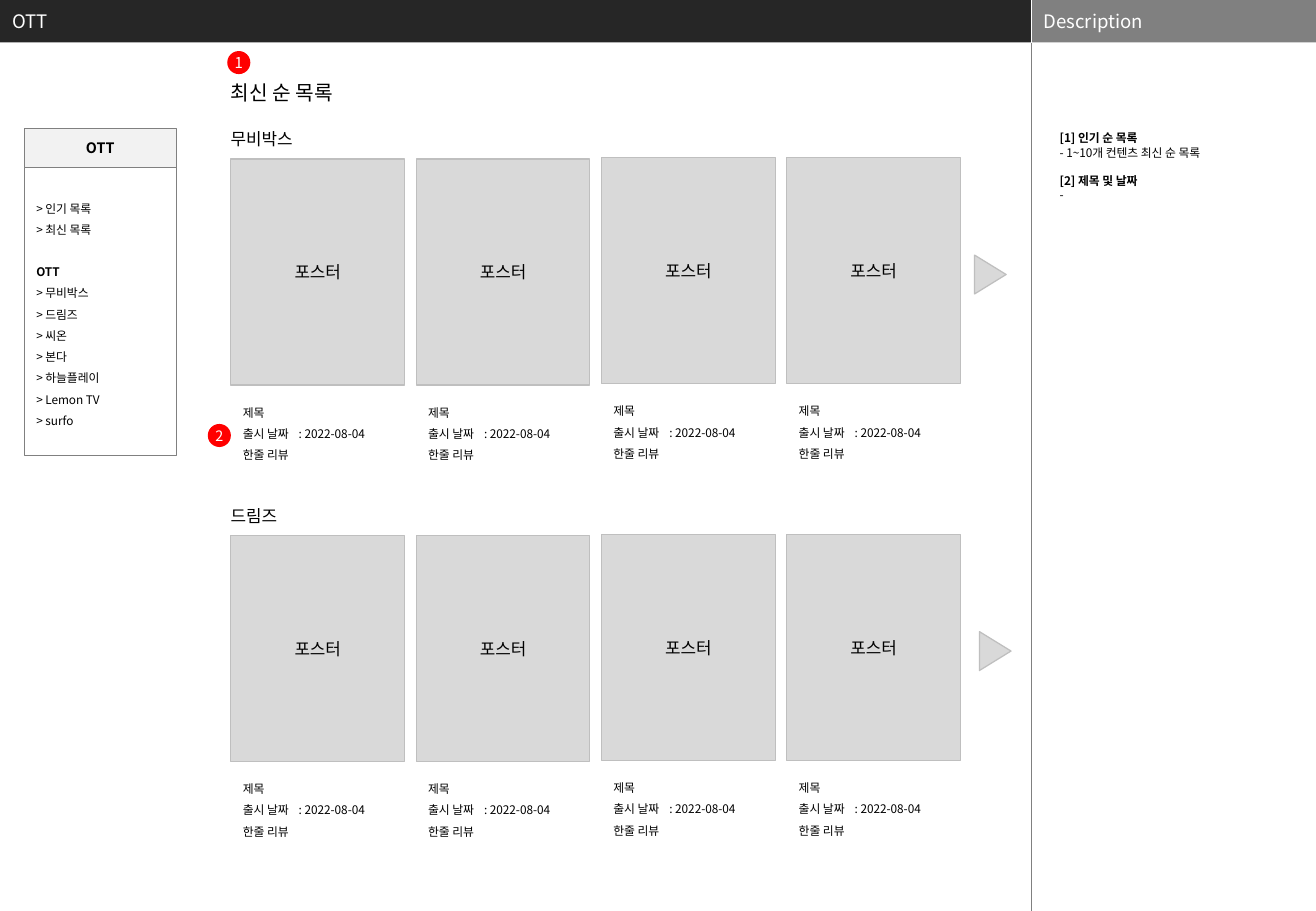
import pptx
import pptx.dml.color
import pptx.enum.shapes
import pptx.enum.text
import pptx.oxml.ns
import pptx.util
from lxml import etree

Inches = pptx.util.Inches
Pt = pptx.util.Pt
SHAPES = pptx.enum.shapes.MSO_SHAPE
ALIGN = pptx.enum.text.PP_ALIGN
ANCHOR = pptx.enum.text.MSO_ANCHOR
qn = pptx.oxml.ns.qn

FONT = "Noto Sans CJK KR"
DATE_TAB = 0.46
MENU = [
    "> 인기 목록",
    "> 최신 목록",
    ("OTT", {"bold": True, "before": 12.5}),
    "> 무비박스",
    "> 드림즈",
    "> 씨온",
    "> 본다",
    "> 하늘플레이",
    "> Lemon TV",
    "> surfo",
]
DESCRIPTION = [
    ("[1] 인기 순 목록", {"bold": True}),
    "- 1~10개 컨텐츠 최신 순 목록",
    ("[2] 제목 및 날짜", {"bold": True, "before": 8.5}),
    "-",
]
CAPTION = ["제목", ("출시 날짜\t: 2022-08-04", {"tab": DATE_TAB}), "한줄 리뷰"]
SHELVES = [("무비박스", 1.31, 7.99), ("드림즈", 4.41, 8.03)]
CARD_LEFT, CARD_PITCH = 1.9, 1.525


def color(hex_text):
    return pptx.dml.color.RGBColor.from_string(hex_text)


def write_paragraph(paragraph, text, size=7, ink="000000", bold=False,
                    align=ALIGN.LEFT, spacing=1.0, before=0, tab=None, plain=False):
    properties = paragraph._p.get_or_add_pPr()
    if plain:
        properties.set("marL", "0")
        properties.set("indent", "0")
        etree.SubElement(properties, qn("a:buNone"))
    if tab:
        tabs = etree.SubElement(properties, qn("a:tabLst"))
        etree.SubElement(tabs, qn("a:tab"), pos=str(Inches(tab)), algn="l")
    paragraph.alignment = align
    paragraph.line_spacing = spacing
    paragraph.space_before = Pt(before)
    run = paragraph.add_run()
    run.text = text
    run.font.size = Pt(size)
    run.font.bold = bold
    run.font.color.rgb = color(ink)
    run.font.name = FONT
    etree.SubElement(run._r.get_or_add_rPr(), qn("a:ea"), typeface=FONT)


class Wireframe:
    panel, border = "D9D9D9", "BFBFBF"
    bar, side_bar, frame = "262626", "808080", "808080"
    white, marker_fill = "FFFFFF", "FF0000"

    def __init__(self, slide):
        self.slide = slide

    def fill_text(self, shape, items, anchor=ANCHOR.TOP, insets=(0.1, 0.05), wrap=True, **style):
        frame = shape.text_frame
        frame.auto_size = pptx.enum.text.MSO_AUTO_SIZE.NONE
        frame.word_wrap = wrap
        frame.vertical_anchor = anchor
        frame.margin_left = frame.margin_right = Inches(insets[0])
        frame.margin_top = frame.margin_bottom = Inches(insets[1])
        for index, item in enumerate(items):
            text, extra = (item, {}) if isinstance(item, str) else item
            paragraph = frame.add_paragraph() if index else frame.paragraphs[0]
            write_paragraph(paragraph, text, **{**style, **extra})

    def placeholder(self, shape, box, items, fill=None, **style):
        shape.left, shape.top, shape.width, shape.height = map(Inches, box)
        if fill:
            shape.fill.solid()
            shape.fill.fore_color.rgb = color(fill)
        self.fill_text(shape, items, **style)

    def text(self, box, items, **style):
        self.fill_text(self.slide.shapes.add_textbox(*map(Inches, box)), items, **style)

    def shape(self, box, kind=SHAPES.RECTANGLE, fill=None, line=None, width=0.75, items=(), **style):
        shape = self.slide.shapes.add_shape(kind, *map(Inches, box))
        shape.shadow.inherit = False
        if fill:
            shape.fill.solid()
            shape.fill.fore_color.rgb = color(fill)
        else:
            shape.fill.background()
        if line:
            shape.line.color.rgb = color(line)
            shape.line.width = Pt(width)
        else:
            shape.line.fill.background()
        if items:
            self.fill_text(shape, items, anchor=ANCHOR.MIDDLE, **style)
        return shape

    def vertical_line(self, left, top, bottom, ink):
        line = self.slide.shapes.add_connector(
            pptx.enum.shapes.MSO_CONNECTOR.STRAIGHT,
            Inches(left), Inches(top), Inches(left), Inches(bottom))
        line.line.color.rgb = color(ink)
        line.line.width = Pt(0.25)
        etree.SubElement(line._element.spPr, qn("a:effectLst"))

    def marker(self, left, top, number, size):
        self.shape((left, top, 0.19, 0.19), SHAPES.OVAL, self.marker_fill, items=[number],
                   insets=(0, 0), wrap=False, size=size, ink=self.white, align=ALIGN.CENTER)

    def next_arrow(self, left, top):
        arrow = self.shape((left, top, 0.32, 0.26), SHAPES.ISOSCELES_TRIANGLE,
                           self.panel, self.border)
        arrow.rotation = 90

    def card(self, left, top):
        self.text((left, top + 1.92, 1.44, 0.61), CAPTION, spacing=1.5)
        self.shape((left, top, 1.43, 1.86), fill=self.panel, line=self.border, items=["포스터"],
                   insets=(0.04, 0.04), wrap=False, size=10, align=ALIGN.CENTER)

    def shelf(self, name, top, arrow_left):
        self.text((1.8, top - 0.3, 3.2, 0.27), [name], size=10)
        for column in range(4):
            lift = 0.01 if column >= 2 else 0
            self.card(CARD_LEFT + column * CARD_PITCH, top - lift)
        self.next_arrow(arrow_left, top + 0.82)


def main():
    presentation = pptx.Presentation()
    presentation.slide_width = Inches(10.83)
    presentation.slide_height = Inches(7.5)
    slide = presentation.slides.add_slide(presentation.slide_layouts[1])
    page = Wireframe(slide)

    page.placeholder(slide.shapes.title, (0, 0, 8.49, 0.35), ["OTT"], fill=page.bar,
                     anchor=ANCHOR.MIDDLE, size=11, ink=page.white)
    page.placeholder(slide.placeholders[1], (8.69, 1.08, 1.9, 5.81), DESCRIPTION,
                     insets=(0.03, 0), plain=True)
    page.shape((8.49, 0, 2.34, 0.35), fill=page.side_bar, items=["Description"],
               size=11, ink=page.white)
    page.vertical_line(8.49, 0, 0.35, page.white)
    page.vertical_line(8.49, 0.35, 7.5, page.frame)

    page.shape((0.2, 1.37, 1.25, 2.38), line=page.frame, width=0.5, items=MENU, spacing=1.5)
    page.shape((0.2, 1.06, 1.25, 0.32), fill="F2F2F2", line=page.frame, width=0.5,
               items=["OTT"], size=8.5, bold=True, align=ALIGN.CENTER)

    page.text((1.8, 0.61, 2.39, 0.3), ["최신 순 목록"], size=12)
    for name, top, arrow_left in SHELVES:
        page.shelf(name, top, arrow_left)
    page.marker(1.87, 0.42, "1", 8.9)
    page.marker(1.71, 3.49, "2", 8.5)

    presentation.save("out.pptx")


if __name__ == "__main__":
    main()
